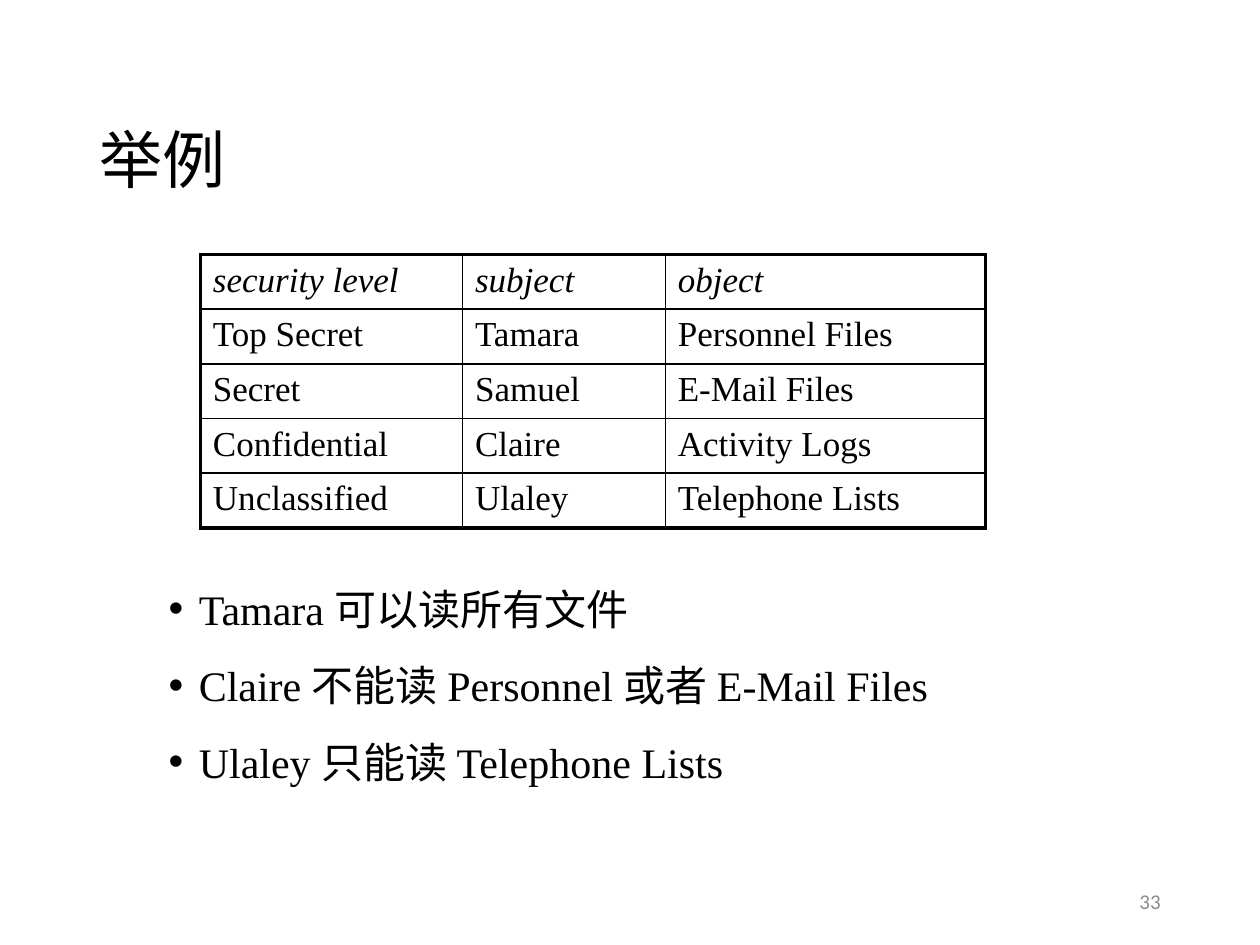
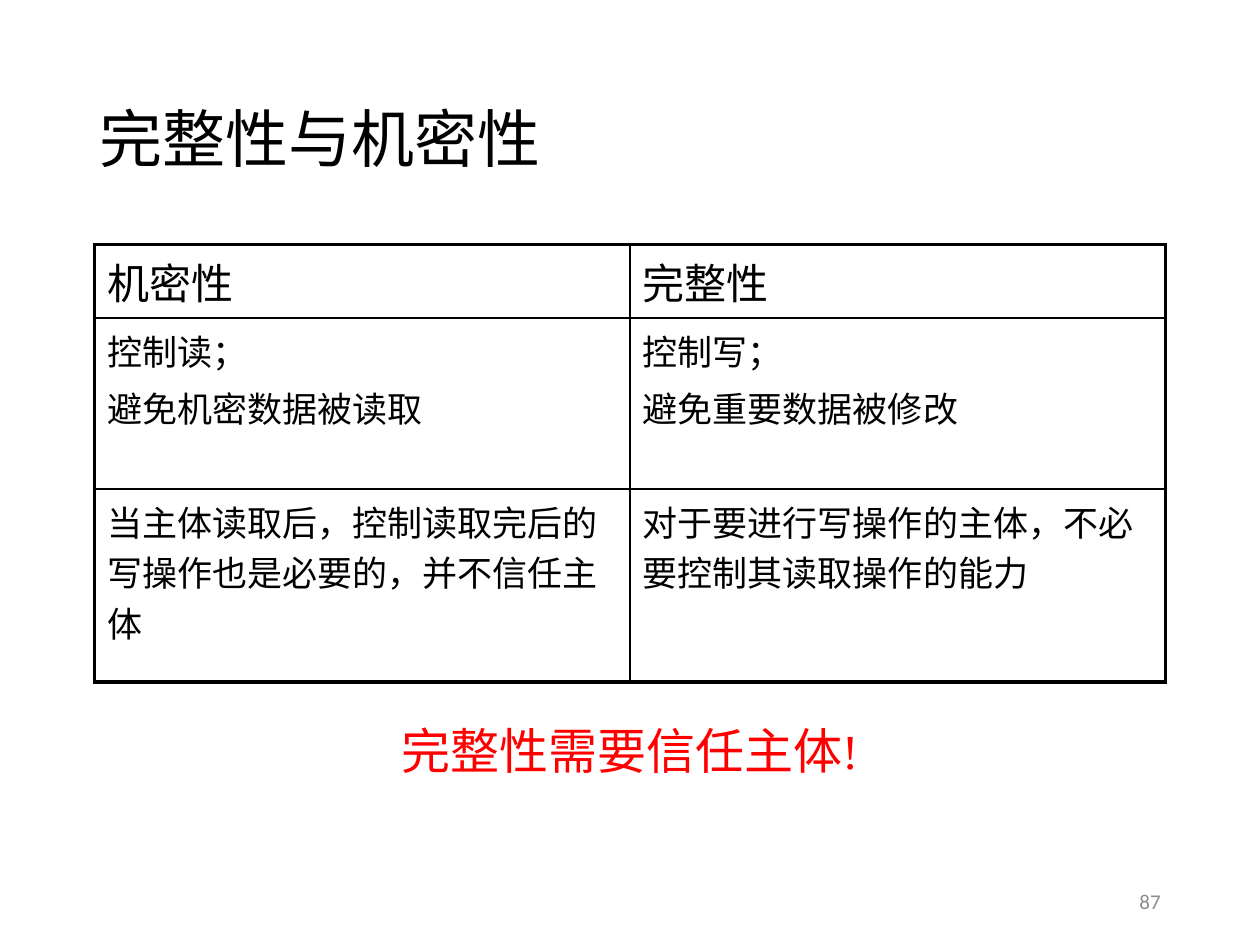
from dataclasses import dataclass

from lxml import etree
from pptx import Presentation
from pptx import util as u
from pptx.dml.color import RGBColor
from pptx.enum import text
from pptx.oxml.ns import qn

WIDTH, HEIGHT = u.Inches(10), u.Inches(7.5)


@dataclass(frozen=True)
class Theme:
    """Colours, fonts, type sizes and line widths of the deck."""
    ink: str = "000000"
    accent: str = "FF0000"
    muted: str = "8C8C8C"
    sans: str = "Calibri"
    serif: str = "Times New Roman"
    plain: str = "Arial"
    title: int = 36
    callout: int = 28
    large: int = 24
    body: int = 20
    small: int = 12
    frame: float = 2.25
    rule: float = 1


T = Theme()


def across(percent):
    """Turn a percentage of the slide width into a length."""
    return u.Emu(round(WIDTH * percent / 100))


def down(percent):
    """Turn a percentage of the slide height into a length."""
    return u.Emu(round(HEIGHT * percent / 100))


def style(font, name, size, color, italic=False):
    """Set the font from a dict of format values."""
    values = {"name": name, "size": u.Pt(size), "italic": italic}
    for key, value in values.items():
        setattr(font, key, value)
    font.color.rgb = RGBColor.from_string(color)


def add_bullet(p, indent):
    """Give a paragraph a hanging round bullet."""
    pPr = p._p.get_or_add_pPr()
    pPr.set("marL", str(indent))
    pPr.set("indent", str(-indent))
    etree.SubElement(pPr, qn("a:buFont")).set("typeface", T.plain)
    etree.SubElement(pPr, qn("a:buChar")).set("char", "•")


def write(tf, lines, font, gap=0, bullet=None, **layout):
    """Fill a text frame with paragraphs sharing one format."""
    for i, line in enumerate(lines):
        p = tf.paragraphs[0] if i == 0 else tf.add_paragraph()
        if i:
            p.space_before = u.Pt(gap)
        for key, value in layout.items():
            setattr(p, key, value)
        if bullet:
            add_bullet(p, bullet)
        r = p.add_run()
        r.text = line
        style(r.font, **font)


def add_text(s, box, lines, font, anchor=text.MSO_ANCHOR.TOP, **layout):
    """Add a wrapping text box placed in percent of the slide."""
    x, y, w, h = box
    tf = s.shapes.add_textbox(across(x), down(y), across(w), down(h)).text_frame
    tf.word_wrap = True
    tf.vertical_anchor = anchor
    write(tf, lines, font, **layout)


def add_title(s, title, y, h):
    """Add the slide title, centred vertically in its band."""
    font = dict(name=T.sans, size=T.title, color=T.ink)
    add_text(s, (6.9, y, 86.2, h), [title], font, text.MSO_ANCHOR.MIDDLE,
             line_spacing=0.9)


def add_number(s, number):
    """Add the slide number at the lower right."""
    font = dict(name=T.sans, size=T.small, color=T.muted)
    add_text(s, (70.6, 92.67, 22.5, 5.33), [str(number)], font,
             text.MSO_ANCHOR.MIDDLE, alignment=text.PP_ALIGN.RIGHT)


def add_borders(cell, outer):
    """Draw a thick line on outer edges and a thin one elsewhere."""
    tcPr = cell._tc.get_or_add_tcPr()
    for i, side in enumerate("LRTB"):
        ln = etree.Element(qn(f"a:ln{side}"))
        ln.set("w", str(u.Pt(T.frame if side in outer else T.rule)))
        fill = etree.SubElement(ln, qn("a:solidFill"))
        etree.SubElement(fill, qn("a:srgbClr")).set("val", T.ink)
        tcPr.insert(i, ln)


def add_table(s, x, y, cols, heights, rows, head, body):
    """Add a framed table with a heading row and unfilled cells."""
    gf = s.shapes.add_table(len(rows), len(cols), across(x), down(y),
                            across(sum(cols)), down(sum(heights)))
    table = gf.table
    table.first_row = table.horz_banding = False
    for col, width in zip(table.columns, cols):
        col.width = across(width)
    for r, (height, values) in enumerate(zip(heights, rows)):
        table.rows[r].height = down(height)
        for c, value in enumerate(values):
            cell = table.cell(r, c)
            cell.fill.background()
            edges = {"L": c == 0, "R": c == len(cols) - 1,
                     "T": r == 0, "B": r == len(rows) - 1}
            add_borders(cell, [side for side, on in edges.items() if on])
            font = body if r else head
            write(cell.text_frame, value.split("\n"), font, gap=font["size"] / 5)


def build_example(s):
    """Build the slide with the security level example."""
    add_title(s, "举例", 8.93, 16.67)
    rows = [("security level", "subject", "object"),
            ("Top Secret", "Tamara", "Personnel Files"),
            ("Secret", "Samuel", "E-Mail Files"),
            ("Confidential", "Claire", "Activity Logs"),
            ("Unclassified", "Ulaley", "Telephone Lists")]
    body = dict(name=T.serif, size=T.body, color=T.ink)
    add_table(s, 15.9, 26.93, (20.8, 16.1, 25.4), [5.77] * len(rows), rows,
              dict(body, italic=True), body)
    rules = ["Tamara 可以读所有文件",
             "Claire 不能读 Personnel 或者 E-Mail Files",
             "Ulaley 只能读 Telephone Lists"]
    add_text(s, (12.4, 60.53, 82.3, 24.13), rules, dict(body, size=T.large),
             gap=T.large / 2, bullet=across(2.4), line_spacing=1.1)
    add_number(s, 33)


def build_comparison(s):
    """Build the slide comparing integrity and confidentiality."""
    add_title(s, "完整性与机密性", 5.33, 19.33)
    rows = [("机密性", "完整性"),
            ("控制读；\n避免机密数据被读取", "控制写；\n避免重要数据被修改"),
            ("当主体读取后，控制读取完后的写操作也是必要的，并不信任主体",
             "对于要进行写操作的主体，不必要控制其读取操作的能力")]
    body = dict(name=T.plain, size=T.body, color=T.ink)
    add_table(s, 7.5, 25.87, (42.5, 42.5), (7.8, 18.1, 20.4), rows,
              dict(body, size=T.large), body)
    font = dict(name=T.serif, size=T.callout, color=T.accent)
    add_text(s, (12.5, 75.6, 75, 7.6), ["完整性需要信任主体!"], font,
             alignment=text.PP_ALIGN.CENTER)
    add_number(s, 87)


def main():
    """Build the deck and save it."""
    prs = Presentation()
    prs.slide_width, prs.slide_height = WIDTH, HEIGHT
    for build in (build_example, build_comparison):
        build(prs.slides.add_slide(prs.slide_layouts[6]))
    prs.save("out.pptx")


if __name__ == "__main__":
    main()
